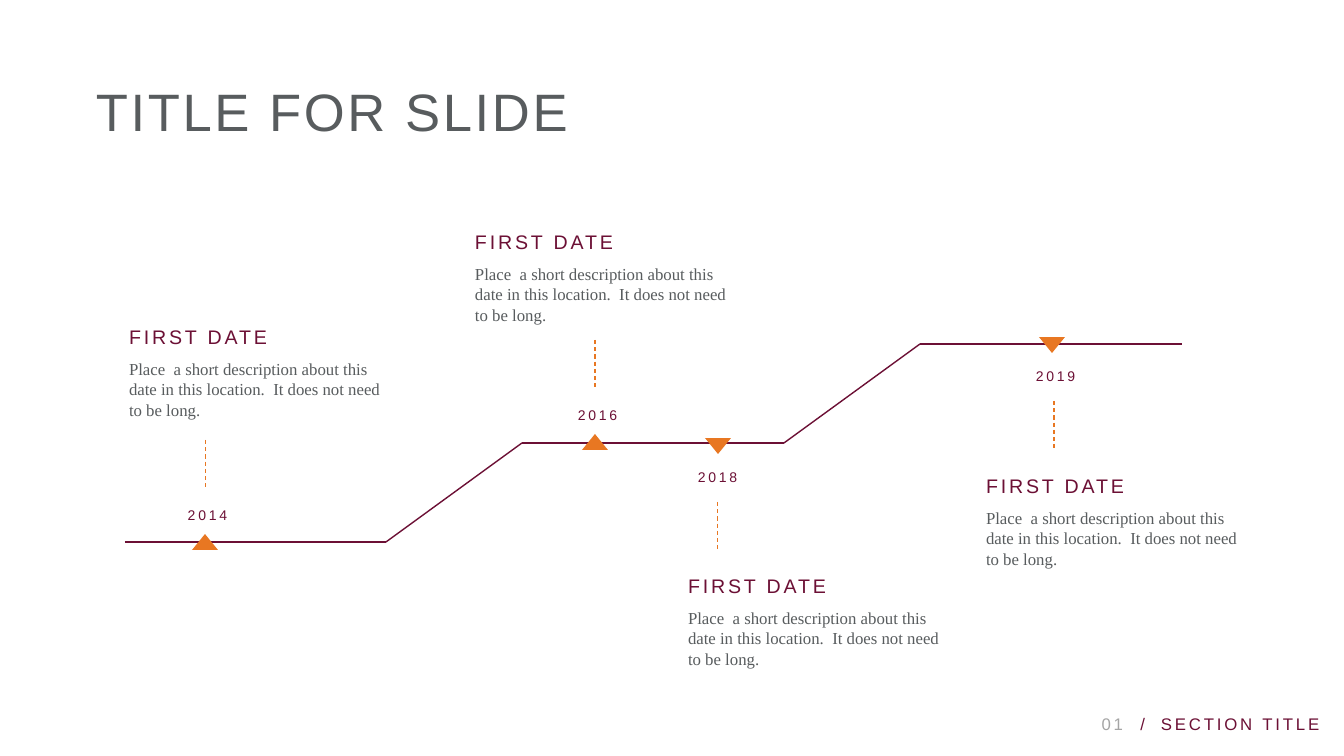
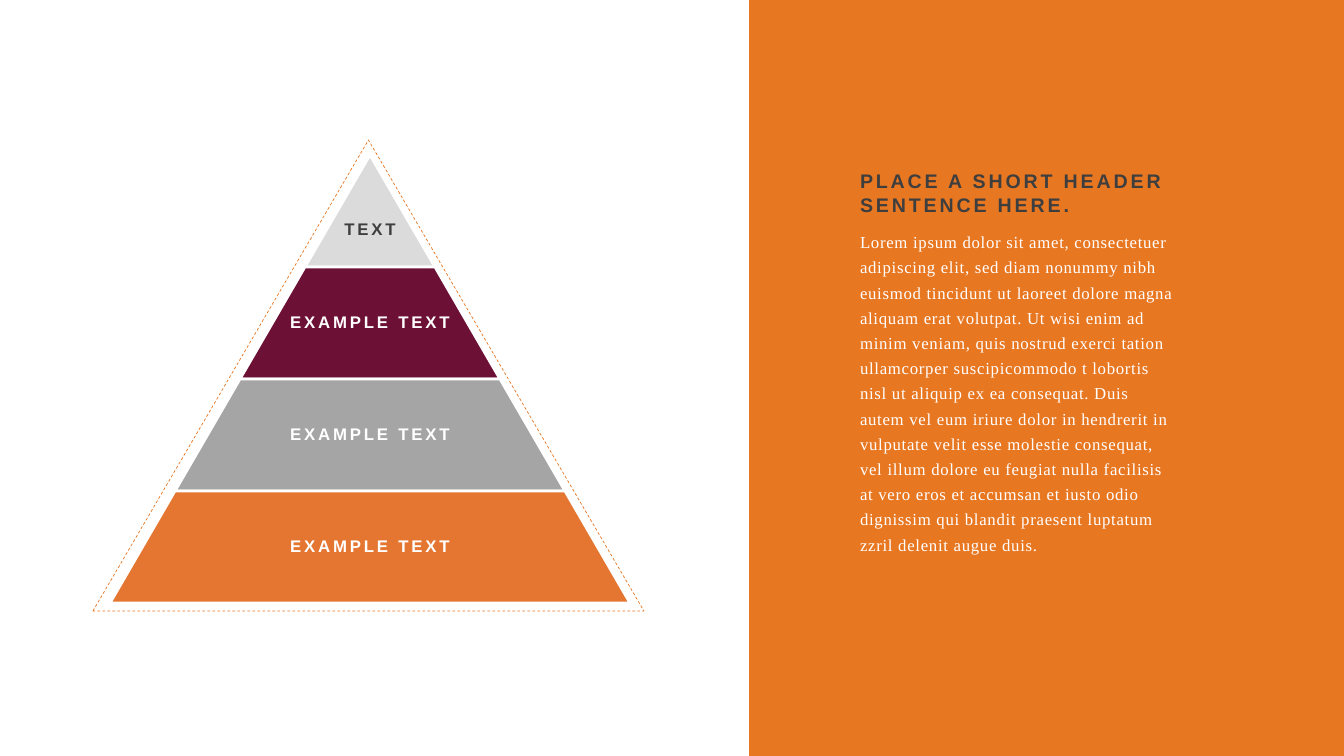
"""Build a timeline slide and a pyramid slide."""
from itertools import pairwise

from lxml.etree import SubElement
from pptx import Presentation
from pptx.dml.color import RGBColor
from pptx.enum.dml import MSO_LINE
from pptx.enum.shapes import MSO_CONNECTOR, MSO_SHAPE
from pptx.enum.text import MSO_ANCHOR, PP_ALIGN
from pptx.oxml.ns import qn
from pptx.util import Emu, Pt

PX = 914400 / 100.8
WINE = RGBColor(0x6C, 0x10, 0x35)
ORANGE = RGBColor(0xE8, 0x77, 0x22)
RUST = RGBColor(0xE5, 0x76, 0x31)
SLATE = RGBColor(0x58, 0x5C, 0x5E)
DARK = RGBColor(0x3E, 0x3E, 0x3E)
GREY = RGBColor(0xA5, 0xA5, 0xA5)
PALE = RGBColor(0xDB, 0xDB, 0xDB)
WHITE = RGBColor(0xFF, 0xFF, 0xFF)
SANS = "Arial"
SERIF = "Times New Roman"
LEFT, MID, RIGHT = PP_ALIGN.LEFT, PP_ALIGN.CENTER, PP_ALIGN.RIGHT


def write(slide, box, text, size, color, face=SANS, track=2, bold=False,
          align=LEFT, anchor=MSO_ANCHOR.TOP, lead=None):
    frame = slide.shapes.add_textbox(*[Emu(round(v * PX)) for v in box]).text_frame
    frame.word_wrap = True
    frame.vertical_anchor = anchor
    inset = Emu(round(5 * PX))
    frame.margin_left = frame.margin_right = inset
    frame.margin_top = frame.margin_bottom = inset
    para = frame.paragraphs[0]
    para.alignment = align
    para.line_spacing = lead
    run = para.add_run()
    run.text = text
    run.font.name = face
    run.font.size = Pt(size)
    run.font.bold = bold
    run.font.color.rgb = color
    run._r.get_or_add_rPr().set("spc", str(round(track * 100)))


def draw(slide, box, kind=None, fill=None, edge=None, thick=1, dash=None):
    x, y, w, h = [Emu(round(v * PX)) for v in box]
    if kind is None:
        item = slide.shapes.add_connector(MSO_CONNECTOR.STRAIGHT, x, y, x + w, y + h)
    else:
        item = slide.shapes.add_shape(kind, x, y, w, h)
        item.shadow.inherit = False
        if fill is None:
            item.fill.background()
        else:
            item.fill.solid()
            item.fill.fore_color.rgb = fill
    if edge is None:
        item.line.fill.background()
    else:
        item.line.color.rgb = edge
        item.line.width = Pt(thick)
        item.line.dash_style = dash
    if kind is None:
        SubElement(item._element.spPr, qn("a:effectLst"))
    return item


deck = Presentation()
deck.slide_width = Emu(round(1344 * PX))
deck.slide_height = Emu(round(756 * PX))
blank = deck.slide_layouts[6]

slide = deck.slides.add_slide(blank)
write(slide, (91, 74, 629, 74), "TITLE FOR SLIDE", 37.6, SLATE, track=1.9,
      anchor=MSO_ANCHOR.BOTTOM, lead=0.9)

steps = [(125, 542), (386, 542), (522, 443), (784, 443), (920, 344), (1182, 344)]
for (x, y), (right, end) in pairwise(steps):
    draw(slide, (x, y, right - x, end - y), edge=WINE)

NOTE = ("Place  a short description about this date in this location.  "
        "It does not need to be long.")
events = [
    ("2014", True, 192, 534, 173, 206, 124, 320),
    ("2016", True, 582, 434, 563, 595, 470, 225),
    ("2018", False, 705, 438, 683, 718, 683, 569),
    ("2019", False, 1039, 337, 1021, 1054, 981, 469),
]
for year, above, x, y, date_x, dash_x, text_x, text_y in events:
    mark = draw(slide, (x, y, 26, 16), MSO_SHAPE.ISOSCELES_TRIANGLE, ORANGE)
    mark.rotation = 0 if above else 180
    date_y = y - 32 if above else y + 26
    dash_y = y - 94 if above else y + 64
    write(slide, (date_x, date_y, 69, 27), year, 10, WINE, align=MID)
    draw(slide, (dash_x, dash_y, 0, 50), edge=ORANGE, thick=0.75, dash=MSO_LINE.DASH)
    write(slide, (text_x, text_y, 276, 34), "FIRST DATE", 14, WINE)
    write(slide, (text_x, text_y + 34, 276, 72), NOTE, 12, SLATE, SERIF, 0)

footer = [
    (648, 480, "01", GREY, RIGHT),
    (1123, 27, "/", WINE, RIGHT),
    (1156, 188, "SECTION TITLE", WINE, LEFT),
]
for x, w, text, color, align in footer:
    write(slide, (x, 694, w, 45), text, 12, color, align=align,
          anchor=MSO_ANCHOR.BOTTOM, lead=0.9)

slide = deck.slides.add_slide(blank)
tiers = [
    ("TEXT", PALE, DARK, 19),
    ("EXAMPLE TEXT", WINE, WHITE, 0),
    ("EXAMPLE TEXT", GREY, WHITE, 0),
    ("EXAMPLE TEXT", RUST, WHITE, 0),
]
for row, (text, fill, ink, drop) in enumerate(tiers):
    y = 155 + 112 * row
    width = 130 * (row + 1)
    tier = draw(slide, (370 - width / 2, y, width, 112), MSO_SHAPE.TRAPEZOID,
                fill, WHITE, 2)
    tier.adjustments[0] = 0.58
    write(slide, (270, y + drop, 200, 112), text, 12, ink, bold=True,
          align=MID, anchor=MSO_ANCHOR.MIDDLE, lead=0.9)

draw(slide, (749, 0, 595, 756), MSO_SHAPE.RECTANGLE, ORANGE)
write(slide, (855, 164, 431, 57), "PLACE A SHORT HEADER SENTENCE HERE.",
      14, DARK, bold=True)
LOREM = (
    "Lorem ipsum dolor sit amet, consectetuer adipiscing elit, sed diam nonummy "
    "nibh euismod tincidunt ut laoreet dolore magna aliquam erat volutpat. Ut wisi "
    "enim ad minim veniam, quis nostrud exerci tation ullamcorper suscipicommodo t "
    "lobortis nisl ut aliquip ex ea consequat. Duis autem vel eum iriure dolor in "
    "hendrerit in vulputate velit esse molestie consequat, vel illum dolore eu "
    "feugiat nulla facilisis at vero eros et accumsan et iusto odio dignissim qui "
    "blandit praesent luptatum zzril delenit augue duis."
)
write(slide, (855, 222, 325, 392), LOREM, 12, WHITE, SERIF, 0.5, lead=Pt(18))
draw(slide, (93, 140, 551, 471), MSO_SHAPE.ISOSCELES_TRIANGLE,
     edge=ORANGE, thick=0.5, dash=MSO_LINE.DASH)

deck.save("out.pptx")
